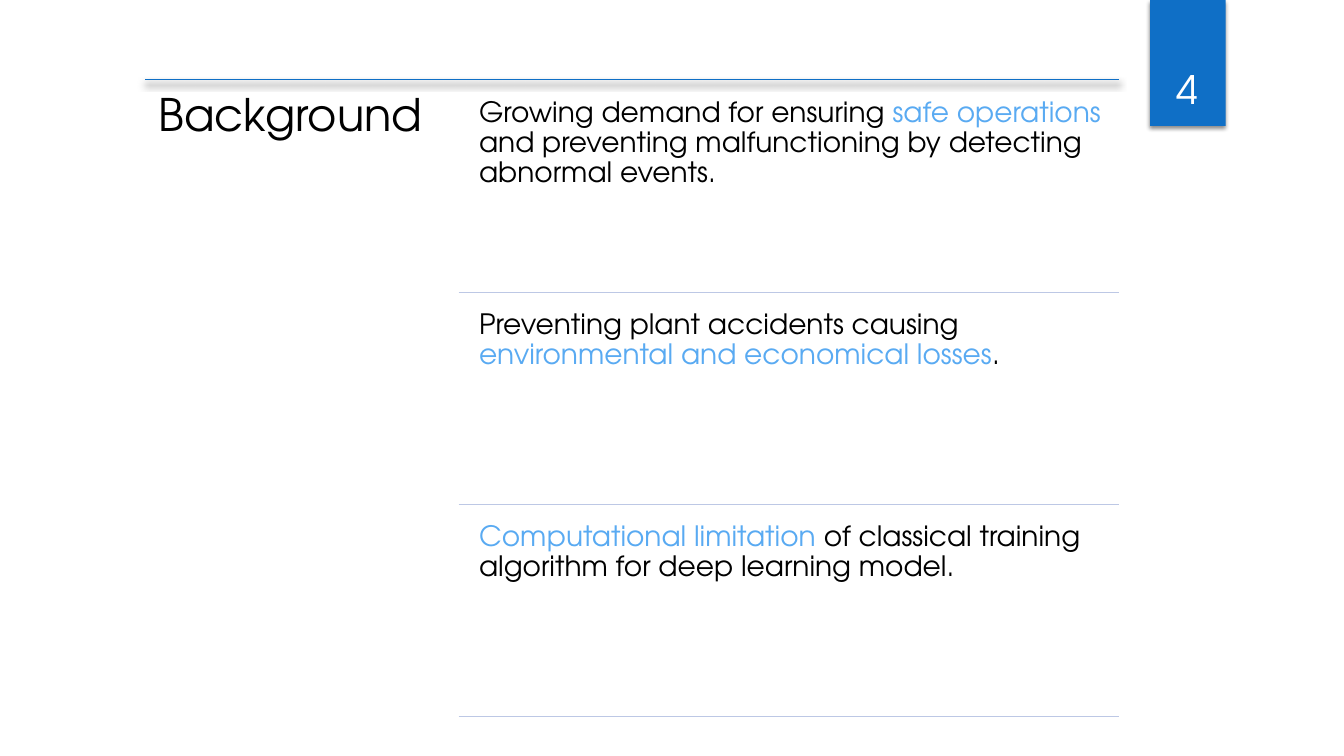
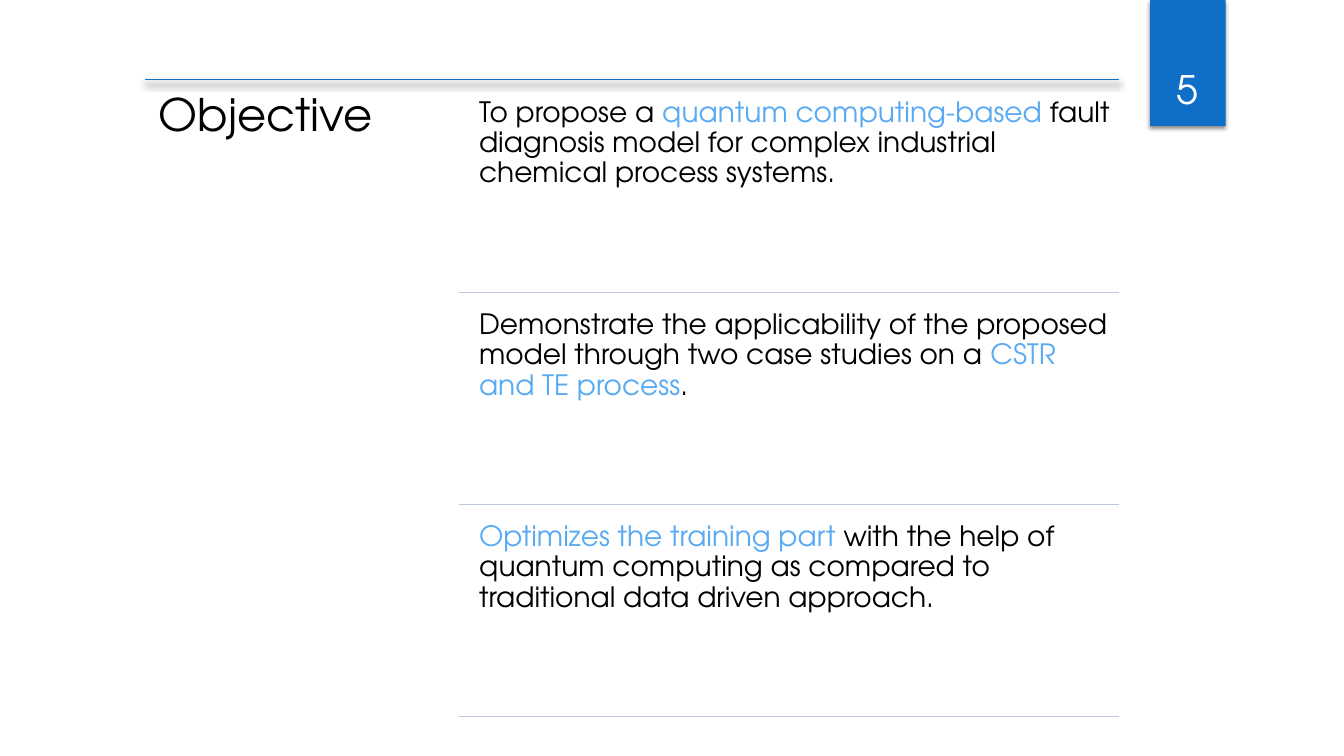
import pptx
import pptx.util
import pptx.dml.color
import pptx.enum.shapes
import pptx.enum.text
import pptx.oxml.ns
import lxml.etree

Pt = pptx.util.Pt
RGBColor = pptx.dml.color.RGBColor
ALIGN = pptx.enum.text.PP_ALIGN
ANCHOR = pptx.enum.text.MSO_ANCHOR
qn = pptx.oxml.ns.qn

# Content: number, title, rows of (text, highlighted) runs
SLIDES = [
    (4, "Background", [
        [("Growing demand for ensuring ", False), ("safe operations ", True),
         ("and preventing malfunctioning by detecting abnormal events.", False)],
        [("Preventing plant accidents causing ", False),
         ("environmental and economical losses", True), (".", False)],
        [("Computational limitation ", True),
         ("of classical training algorithm for deep learning model.", False)],
    ]),
    (5, "Objective", [
        [("To propose a ", False), ("quantum computing-based", True),
         (" fault diagnosis model for complex industrial chemical process systems.", False)],
        [("Demonstrate the applicability of the proposed model through "
          "two case studies on a ", False),
         ("CSTR and TE process", True), (".", False)],
        [("Optimizes the training part ", True),
         ("with the help of quantum computing as compared to "
          "traditional data driven approach.", False)],
    ]),
]

# Shared style
FONT = "TeX Gyre Adventor"
BLUE = RGBColor(0x0F, 0x6F, 0xC6)
HIGHLIGHT = RGBColor(0x59, 0xAA, 0xF2)
RULE = RGBColor(0xBD, 0xC8, 0xE5)
BLACK = RGBColor(0, 0, 0)
WHITE = RGBColor(255, 255, 255)

# Shared geometry, in points
LEFT, RIGHT, TOP = 103.68, 799.5, 56.88
ROW_LEFT, ROW_WIDTH = 336.2, 463
ROW_TOP, ROW_HEIGHT, ROW_PITCH = 64.1, 144.7, 151.55
RULE_LEFT = 327.6


def set_effects(sp, shadow=None):
    """Replace theme effects; shadow is (opacity %, blur, distance), cast downwards."""
    effects = lxml.etree.SubElement(sp._element.spPr, qn("a:effectLst"))
    if shadow:
        opacity, blur, distance = shadow
        outer = lxml.etree.SubElement(
            effects, qn("a:outerShdw"), blurRad=str(Pt(blur)), dist=str(Pt(distance)),
            dir="5400000", rotWithShape="0")
        color = lxml.etree.SubElement(outer, qn("a:srgbClr"), val=str(BLACK))
        lxml.etree.SubElement(color, qn("a:alpha"), val=str(opacity * 1000))


def add_line(slide, x1, x2, y, color, shadow=None):
    line = slide.shapes.add_connector(
        pptx.enum.shapes.MSO_CONNECTOR.STRAIGHT, Pt(x1), Pt(y), Pt(x2), Pt(y))
    line.line.color.rgb = color
    line.line.width = Pt(0.75)
    set_effects(line, shadow)


def add_text(slide, box, runs, size, inset, spacing=0.9,
             align=ALIGN.LEFT, anchor=ANCHOR.TOP):
    tf = slide.shapes.add_textbox(*map(Pt, box)).text_frame
    tf.word_wrap = True
    tf.vertical_anchor = anchor
    tf.margin_left = tf.margin_right = tf.margin_top = tf.margin_bottom = Pt(inset)
    p = tf.paragraphs[0]
    p.alignment = align
    p.line_spacing = spacing
    p.font.name = FONT
    p.font.size = Pt(size)
    for text, color in runs:
        r = p.add_run()
        r.text = text
        r.font.color.rgb = color


def add_page_tab(slide, number):
    tab = slide.shapes.add_shape(
        pptx.enum.shapes.MSO_SHAPE.RECTANGLE, Pt(821.5), Pt(0), Pt(54), Pt(90))
    tab.fill.solid()
    tab.fill.fore_color.rgb = BLUE
    tab.line.fill.background()
    set_effects(tab, (45, 3, 2))
    add_text(slide, (815, 23, 66.2, 60.5), [(str(number), WHITE)], 28, 3.6,
             spacing=1.0, align=ALIGN.CENTER, anchor=ANCHOR.BOTTOM)


def build_slide(prs, number, title, rows):
    slide = prs.slides.add_slide(prs.slide_layouts[6])
    # Title column under the top line
    add_line(slide, LEFT, RIGHT, TOP, BLUE, (60, 5, 3))
    add_text(slide, (LEFT, TOP, 223.2, 463), [(title, BLACK)], 32, 9.6)
    # Rows, each closed by a rule
    for i, row in enumerate(rows):
        top = ROW_TOP + i * ROW_PITCH
        runs = [(text, HIGHLIGHT if marked else BLACK) for text, marked in row]
        add_text(slide, (ROW_LEFT, top, ROW_WIDTH, ROW_HEIGHT), runs, 20, 6)
        add_line(slide, RULE_LEFT, RIGHT, top + ROW_HEIGHT, RULE)
    add_page_tab(slide, number)


def main():
    prs = pptx.Presentation()
    prs.slide_width, prs.slide_height = Pt(960), Pt(540)
    for content in SLIDES:
        build_slide(prs, *content)
    prs.save("out.pptx")


if __name__ == "__main__":
    main()
